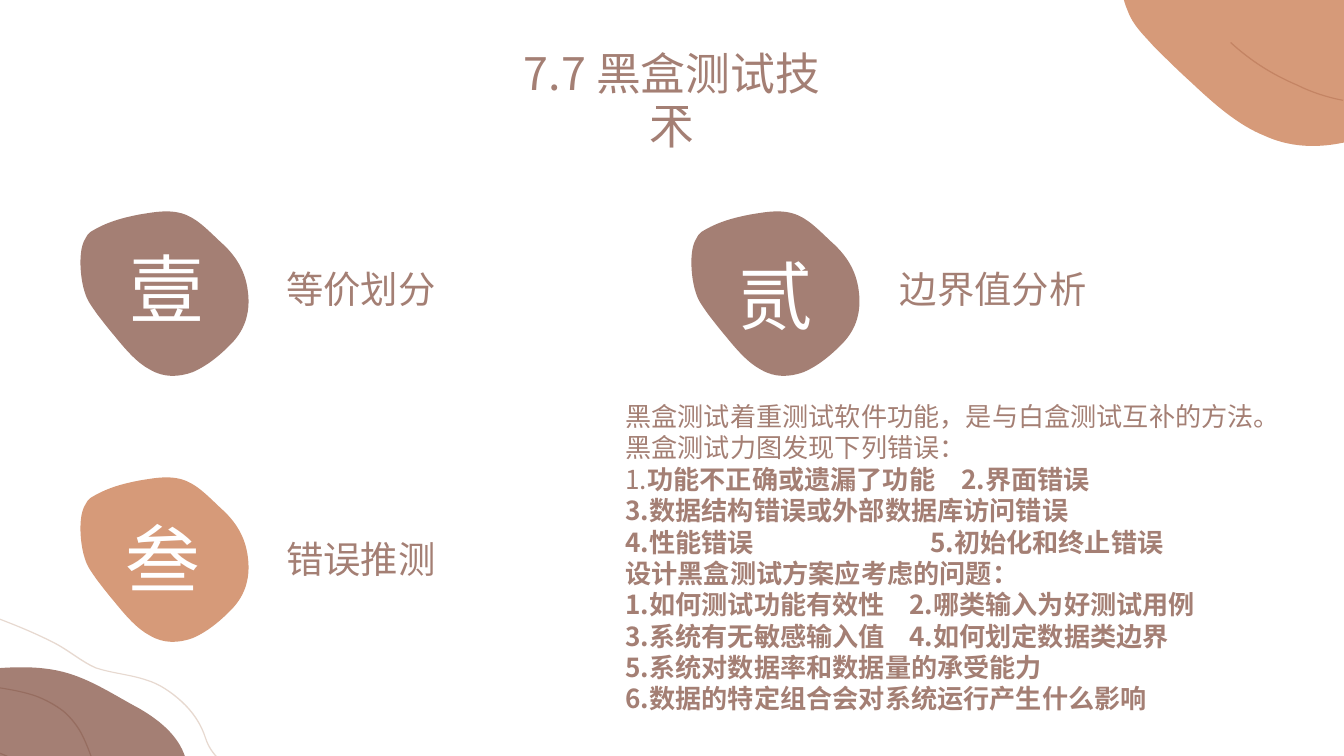
import pptx
import pptx.dml.color
import pptx.enum.shapes
import pptx.enum.text
import pptx.util
from lxml import etree

Pt = pptx.util.Pt
RGB = pptx.dml.color.RGBColor.from_string
FONT = "Noto Sans CJK SC"
COLOURS = {"brown": "A47F74", "dark brown": "966D60", "orange": "D69A79",
           "dark orange": "C48464", "beige": "E7D9D0", "white": "FFFFFF"}
DRAWING = "{http://schemas.openxmlformats.org/drawingml/2006/main}"

deck = pptx.Presentation()
deck.slide_width, deck.slide_height = Pt(720), Pt(405)
page = deck.slides.add_slide(deck.slide_layouts[6])


def add_curve(points, colour, left=0, top=0, x_scale=1, y_scale=1):
    """Fill a closed outline of cubic Béziers: a start, then two handles and an end each."""
    points = [(Pt(left + x * x_scale), Pt(top + y * y_scale)) for x, y in points]
    builder = page.shapes.build_freeform(*points[0])
    builder.add_line_segments(points[1:], close=True)
    shape = builder.convert_to_shape()
    # Join every three straight segments into one curve
    outline = next(shape._element.iter(DRAWING + "path"))
    lines = outline.findall(DRAWING + "lnTo")
    for i in range(0, len(lines), 3):
        curve = etree.Element(DRAWING + "cubicBezTo")
        lines[i].addprevious(curve)
        for line in lines[i:i + 3]:
            curve.append(line[0])
            outline.remove(line)
    shape.shadow.inherit = False
    shape.fill.solid()
    shape.fill.fore_color.rgb = RGB(COLOURS[colour])
    shape.line.fill.background()


def add_text(text, left, top, width, height, size, colour="brown", centred=True,
             wrap=False, bold_from=None, tabs=None):
    """Write one paragraph per line; bold_from is the (line, character) where bold starts."""
    box = page.shapes.add_textbox(Pt(left), Pt(top), Pt(width), Pt(height))
    frame = box.text_frame
    frame.word_wrap = wrap
    for number, line in enumerate(text.split("\n")):
        para = frame.add_paragraph() if number else frame.paragraphs[0]
        para.line_spacing = Pt(1.2 * size)
        if centred:
            para.alignment = pptx.enum.text.PP_ALIGN.CENTER
        if tabs and number in tabs:
            tab_list = etree.SubElement(para._p.get_or_add_pPr(), DRAWING + "tabLst")
            etree.SubElement(tab_list, DRAWING + "tab", pos=str(Pt(tabs[number])), algn="l")
        split = len(line)
        if bold_from and number >= bold_from[0]:
            split = bold_from[1] if number == bold_from[0] else 0
        for part, bold in ((line[:split], False), (line[split:], True)):
            if part:
                span = para.add_run()
                span.text = part
                span.font.size = Pt(size)
                span.font.bold = bold
                span.font.color.rgb = RGB(COLOURS[colour])
                span.font.name = FONT
                etree.SubElement(span._r.get_or_add_rPr(), DRAWING + "ea", typeface=FONT)


# Pebble outline on a 271 by 203 grid, shared by the corners and the number badges
PEBBLE = [(266, 99), (262, 73), (245, 56), (229, 44), (210, 31), (192, 15), (171, 8),
          (147, 0), (121, 4), (97, 7), (70, 11), (45, 16), (20, 28), (16, 30), (14, 33),
          (12, 36), (0, 50), (4, 84), (11, 100), (15, 111), (23, 118), (30, 126),
          (39, 135), (48, 144), (58, 153), (75, 169), (93, 185), (113, 193), (135, 203),
          (158, 202), (180, 196), (201, 189), (221, 177), (240, 162), (258, 148),
          (271, 128), (266, 99)]
STRANDS = {
    "wave": [(-15, 326.5), (0, 332), (15, 337.5), (29.5, 345), (37, 349), (44, 355),
             (51, 358), (60, 361), (69, 361.5), (78, 364.5), (85, 366.5), (91.5, 371),
             (97, 376), (103, 381.5), (107.5, 388), (110, 396), (111.5, 400.5),
             (114, 404), (117.5, 407.5), (119.5, 410.5), (122.5, 413.5), (126, 415.5),
             (129, 417.5), (132, 420), (134.5, 422)],
    "long vein": [(-15, 366.5), (-3.5, 368.5), (8, 369.5), (18.5, 373), (24, 375),
                  (29.5, 378), (34, 381.5), (38, 385), (42, 390), (44.5, 395.5),
                  (48, 403), (51, 412.5), (54.5, 422)],
    "short vein": [(-15, 399.5), (-11, 400.5), (-7, 401.5), (-3, 403), (1, 404), (5, 406),
                   (8.5, 408), (13, 411), (16.5, 414), (19.5, 417.5), (21.5, 419),
                   (22.5, 420.5), (24.5, 422)],
    "top vein": [(659, 23), (670, 33), (681, 40), (695, 46), (702, 49.5), (711, 52.5),
                 (719.3, 54)],
}


def add_pebble(left, top, width, height, colour):
    add_curve(PEBBLE, colour, left, top, width / 271, height / 203)


def add_strand(name, colour):
    """Fill a hairline ribbon: out along the strand, back along its shifted twin."""
    near = STRANDS[name]
    far = [(x + 0.5, y - 0.5) for x, y in reversed(near)]
    add_curve(near + [near[-1], far[0]] + far, colour)


add_pebble(-85, 355.7, 188.6, 109.4, "brown")
add_strand("wave", "beige")
add_strand("long vein", "dark brown")
add_strand("short vein", "dark brown")
add_pebble(596.2, -66.2, 195.1, 146.2, "orange")
add_strand("top vein", "dark orange")

add_text("7.7 黑盒测试技术", 262, 21, 196, 36, size=24, wrap=True)
underline = page.shapes.add_connector(pptx.enum.shapes.MSO_CONNECTOR.STRAIGHT,
                                      Pt(351.4), Pt(57.6), Pt(368.6), Pt(57.6))
underline.line.color.rgb = RGB(COLOURS["brown"])
underline.line.width = Pt(1.5)
etree.SubElement(underline._element.spPr, DRAWING + "effectLst")

for left, top, colour in ((41.6, 111.8, "brown"), (41.6, 254.3, "orange"),
                          (368.9, 111.8, "brown")):
    add_pebble(left, top, 92.9, 90.7, colour)

for label, left, top, width in (("等价划分", 145.8, 139, 95), ("错误推测", 145.8, 283.7, 95)):
    add_text(label, left, top, width, 31.7, size=20)
for numeral, left, top in (("壹", 62.2, 126.7), ("贰", 388.1, 130.3), ("叁", 59.8, 271.4)):
    add_text(numeral, left, top, 54.7, 55.4, size=40, colour="white")
add_text("边界值分析", 474.5, 139, 115.2, 31.7, size=20)

notes = """黑盒测试着重测试软件功能，是与白盒测试互补的方法。
黑盒测试力图发现下列错误：
1.功能不正确或遗漏了功能\t2.界面错误
3.数据结构错误或外部数据库访问错误
4.性能错误\t5.初始化和终止错误
设计黑盒测试方案应考虑的问题：
1.如何测试功能有效性\t2.哪类输入为好测试用例
3.系统有无敏感输入值\t4.如何划定数据类边界
5.系统对数据率和数据量的承受能力
6.数据的特定组合会对系统运行产生什么影响"""
add_text(notes, 328, 211, 375.1, 177.1, size=14, centred=False, wrap=True,
         bold_from=(2, 2), tabs={2: 179.8, 4: 163.2, 6: 152, 7: 152})

deck.save("out.pptx")
